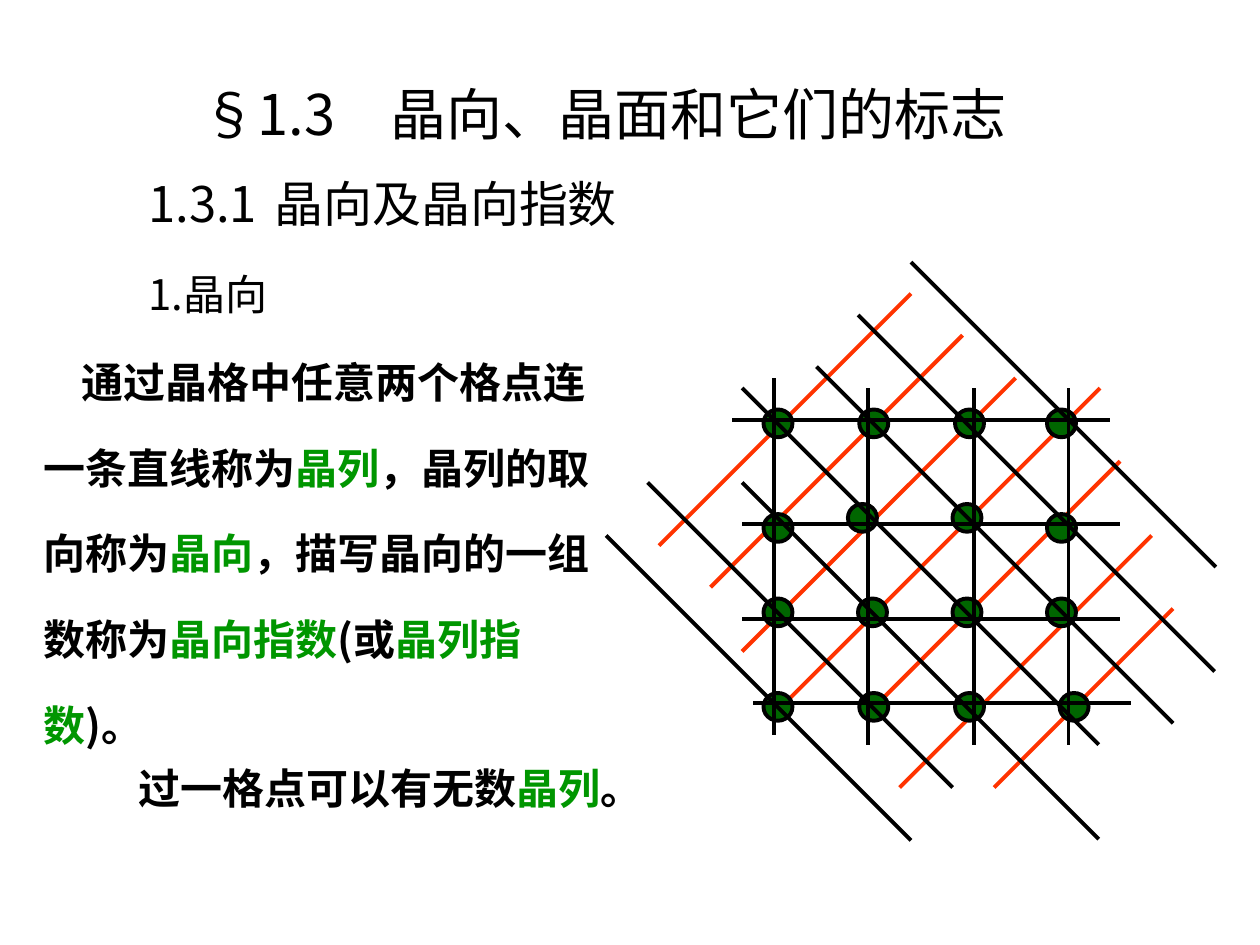
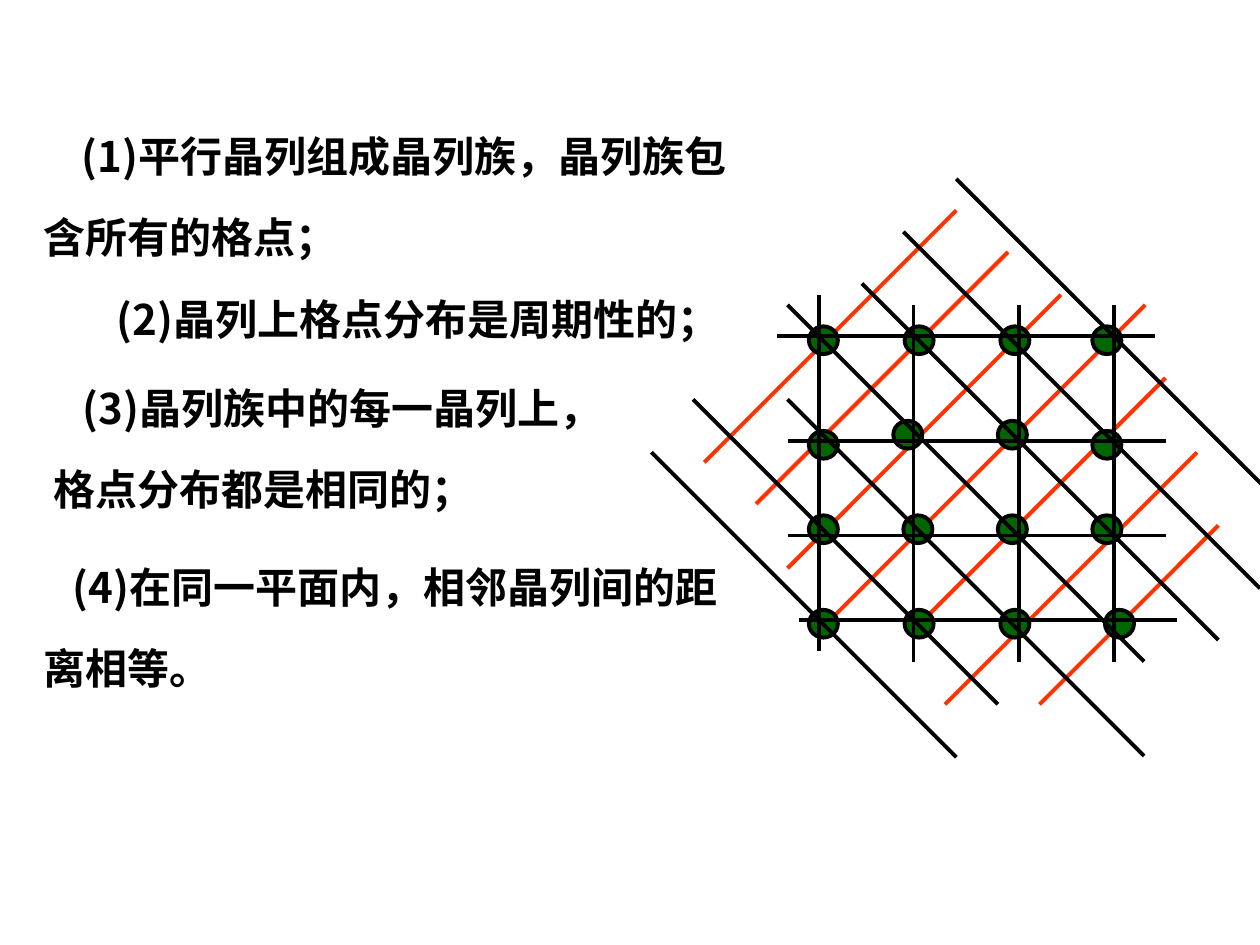
import pptx
import pptx.dml.color
import pptx.enum.shapes
import pptx.enum.text
import pptx.util
from lxml import etree

Inches = pptx.util.Inches
Pt = pptx.util.Pt

FONT = "Noto Sans CJK SC"
COLORS = {"text": "000000", "term": "009600", "atom": "006600", "red_row": "FF3300"}
DRAWING_NS = "{http://schemas.openxmlformats.org/drawingml/2006/main}"
LINE_WIDTH = Pt(2.25)
ATOM_SIZE = (0.23, 0.22)

# Every row family: start points with lengths, all relative to the lattice corner.
RISING_ROWS = [(4.33, 2.17, 2), (4.5, 2.75, 1.42), (4.08, 1.58, 2), (3.25, 0.92, 2.17),
               (2.83, 0.58, 2), (2.42, 0.25, 2), (3.92, 1, 2.5)]
FALLING_ROWS = [(1.08, 1, 2.83), (2, 0.42, 2.83), (1.67, 0.83, 2.83), (1.08, 1.75, 2.83),
                (2.42, 0, 2.42), (0.33, 1.75, 2.42), (0, 2.17, 2.42)]
HORIZONTAL_ROWS = [(1, 1.25, 3), (1.17, 3.5, 3), (1.08, 2.83, 3), (1.08, 2.08, 3)]
VERTICAL_ROWS = [(1.33, 0.92, 2.83), (2.08, 1, 2.83), (3.67, 1, 2.83), (2.92, 1, 2.83)]
ATOMS = [(1.25, 3.42), (2.01, 3.42), (2.77, 3.42), (3.6, 3.42),
         (1.25, 1.17), (2.01, 1.17), (2.77, 1.17), (3.5, 1.17),
         (1.25, 2.67), (2, 2.67), (2.75, 2.67), (3.5, 2.67),
         (1.25, 2), (1.92, 1.92), (2.75, 1.92), (3.5, 2)]


def rgb(key):
    """Return the named colour."""
    return pptx.dml.color.RGBColor.from_string(COLORS[key])


def write(frame, phrases, size, bold=False, spacing=None, indent=0, tab=None):
    """Fill a frame with one paragraph in which every second phrase is a green term."""
    frame.word_wrap = True
    frame.auto_size = pptx.enum.text.MSO_AUTO_SIZE.SHAPE_TO_FIT_TEXT
    frame.vertical_anchor = pptx.enum.text.MSO_ANCHOR.TOP
    paragraph = frame.paragraphs[0]
    paragraph.text = phrases[0]
    for phrase in phrases[1:]:
        paragraph.add_run().text = phrase
    paragraph.alignment = pptx.enum.text.PP_ALIGN.LEFT
    paragraph.space_before = Pt(0)
    if spacing:
        paragraph.line_spacing = spacing
    properties = paragraph._p.get_or_add_pPr()
    properties.set("indent", str(Inches(indent)))
    if tab:
        stops = etree.SubElement(properties, DRAWING_NS + "tabLst")
        etree.SubElement(stops, DRAWING_NS + "tab", pos=str(Inches(tab)), algn="l")
    for index, run in enumerate(paragraph.runs):
        is_term = len(phrases) > 1 and index % 2 == 1
        run.font.size = Pt(size)
        run.font.bold = bold
        run.font.color.rgb = rgb("term" if is_term else "text")
        run.font.name = FONT
        etree.SubElement(run._r.get_or_add_rPr(), DRAWING_NS + "ea", typeface=FONT)


def add_title(slide, box, text, tab):
    """Place and format the section title."""
    title = slide.shapes.title
    title.left, title.top, title.width, title.height = map(Inches, box)
    write(title.text_frame, [text], 32, tab=tab)


def add_text(slide, box, phrases, size=24, **style):
    """Add a text box holding one paragraph."""
    write(slide.shapes.add_textbox(*map(Inches, box)).text_frame, phrases, size, **style)


def add_rows(slide, corner, rows, direction, color):
    """Draw one family of parallel rows along a direction."""
    left, top = corner
    for x, y, length in rows:
        x, y = left + x, top + y
        ends = (x, y, x + direction[0] * length, y + direction[1] * length)
        row = slide.shapes.add_connector(
            pptx.enum.shapes.MSO_CONNECTOR.STRAIGHT, *map(Inches, ends))
        row.line.color.rgb = rgb(color)
        row.line.width = LINE_WIDTH
        etree.SubElement(row._element.spPr, DRAWING_NS + "effectLst")


def add_lattice(slide, corner):
    """Draw the lattice points and the four families of rows through them."""
    left, top = corner
    add_rows(slide, corner, RISING_ROWS, (-1, 1), "red_row")
    for x, y in ATOMS:
        atom = slide.shapes.add_shape(
            pptx.enum.shapes.MSO_SHAPE.OVAL, *map(Inches, (left + x, top + y, *ATOM_SIZE)))
        atom.shadow.inherit = False
        atom.fill.solid()
        atom.fill.fore_color.rgb = rgb("atom")
        atom.line.color.rgb = rgb("text")
        atom.line.width = LINE_WIDTH
    add_rows(slide, corner, HORIZONTAL_ROWS, (1, 0), "text")
    add_rows(slide, corner, VERTICAL_ROWS, (0, 1), "text")
    add_rows(slide, corner, FALLING_ROWS, (1, 1), "text")


def build_definition_slide(deck):
    """Build the slide that defines crystal directions."""
    slide = deck.slides.add_slide(deck.slide_layouts[5])
    add_title(slide, (1.5, 0.58, 7.08, 0.64), "§1.3\t晶向、晶面和它们的标志", 1.36)
    add_text(slide, (1.08, 1.33, 5, 0.57), ["1.3.1\t晶向及晶向指数"], 28, tab=1.13)
    add_text(slide, (1.08, 2.08, 2.67, 0.5), ["1.晶向"])
    definition = ["通过晶格中任意两个格点连一条直线称为", "晶列", "，晶列的取向称为", "晶向",
                  "，描写晶向的一组数称为", "晶向指数", "(或", "晶列指数", ")。"]
    add_text(slide, (0.25, 2.5, 4.75, 3.5), definition, bold=True, spacing=1.7, indent=0.3)
    add_lattice(slide, (4.81, 2.08))
    add_text(slide, (1, 6, 4.25, 0.5), ["过一格点可以有无数", "晶列", "。"], bold=True)


def build_properties_slide(deck):
    """Build the slide that lists the properties of row families."""
    slide = deck.slides.add_slide(deck.slide_layouts[6])
    properties = [
        ((0.25, 0.75, 5.67, 1.38), "(1)平行晶列组成晶列族，晶列族包含所有的格点；", 1.6, 0.3),
        ((0.83, 2, 5.75, 0.78), "(2)晶列上格点分布是周期性的；", 1.7, 0),
        ((0.33, 2.75, 5.08, 1.38), "(3)晶列族中的每一晶列上，\v格点分布都是相同的；", 1.6, 0.23),
        ((0.25, 4.17, 5.67, 1.38), "(4)在同一平面内，相邻晶列间的距离相等。", 1.6, 0.23),
    ]
    for box, text, spacing, indent in properties:
        add_text(slide, box, [text], bold=True, spacing=spacing, indent=indent)
    add_lattice(slide, (5.17, 1.42))


def main():
    """Build and save the deck."""
    deck = pptx.Presentation()
    deck.slide_width, deck.slide_height = Inches(10), Inches(7.5)
    build_definition_slide(deck)
    build_properties_slide(deck)
    deck.save("out.pptx")


if __name__ == "__main__":
    main()
